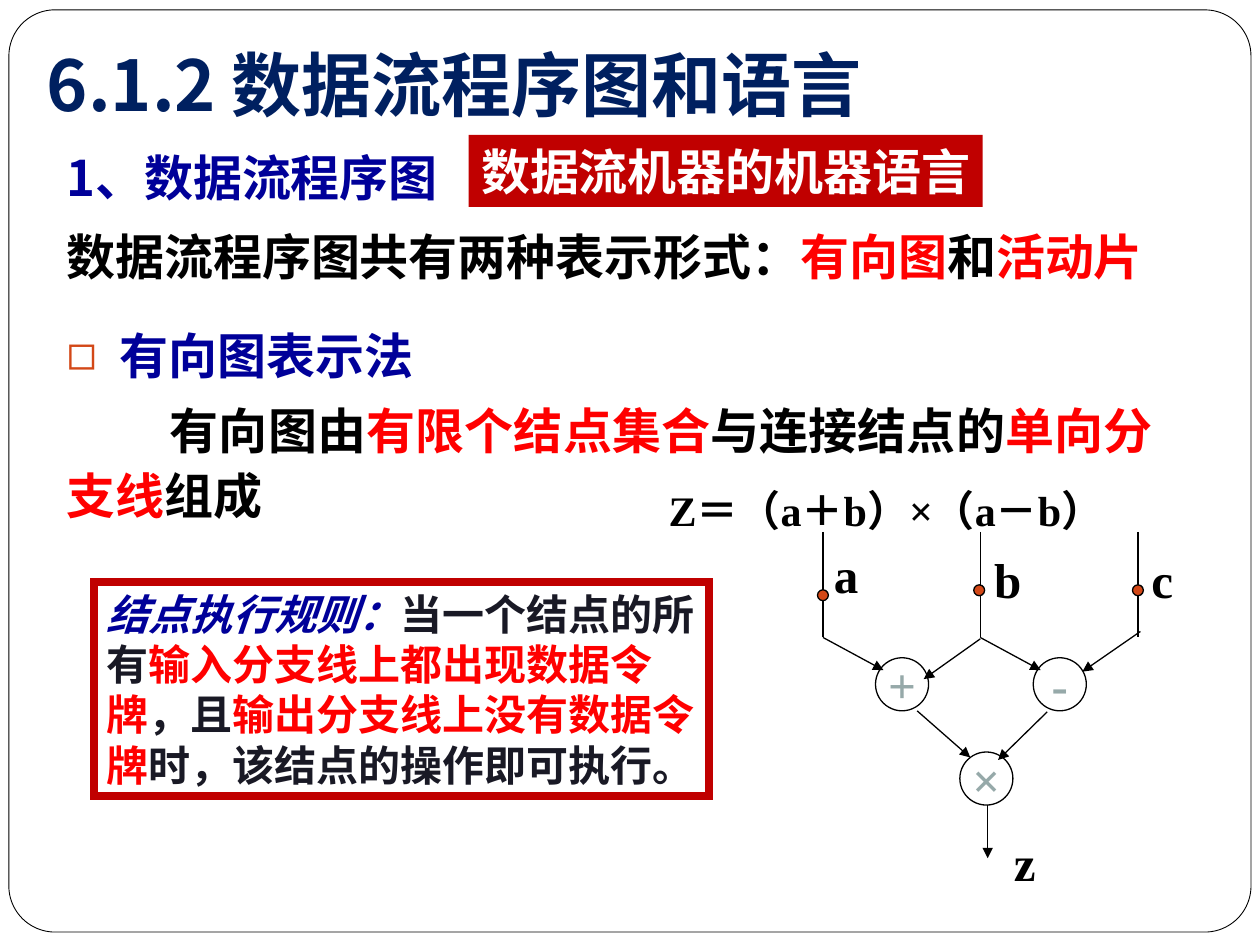
import pptx
import pptx.dml.color
import pptx.enum.shapes
import pptx.enum.text
import pptx.oxml.ns
import pptx.util
from lxml import etree

Cm, Pt = pptx.util.Cm, pptx.util.Pt
SHAPE = pptx.enum.shapes.MSO_SHAPE
ALIGN = pptx.enum.text.PP_ALIGN
ANCHOR = pptx.enum.text.MSO_ANCHOR
SERIF, SANS, CJK = "Times New Roman", "Arial", "Noto Sans CJK SC"
BLACK, RED, BLUE, INK = "000000", "FF0000", "000099", "191925"
ORANGE, CRIMSON, WHITE, GREY, NAVY = "D34817", "C00000", "FFFFFF", "96A9A9", "002060"

TITLE = [("6.1.2 数据流程序图和语言", NAVY)]
HEADING = [("1、数据流程序图", BLUE)]
FORMS = [("数据流程序图共有两种表示形式：", BLACK), ("有向图", RED), ("和", BLACK), ("活动片", RED)]
LABEL = [("数据流机器的机器语言", WHITE)]
METHOD = [("有向图表示法", BLUE)]
DEFINITION = [("有向图由", BLACK), ("有限个结点集合", RED), ("与连接结点的", BLACK),
              ("单向分支线", RED), ("组成", BLACK)]
RULE = [("结点执行规则：", BLUE), ("当一个结点的所有", INK), ("输入分支线上都出现数据令牌", RED),
        ("，且", INK), ("输出分支线上没有数据令牌", RED), ("时，该结点的操作即可执行。", INK)]
EQUATION = [("Z＝（a＋b）×（a－b）", BLACK)]

NODE_SIZE, TOKEN_SIZE = 1.07, 0.22
INPUT_X, INPUT_TOP, INPUT_BOTTOM = (16.59, 19.76, 22.94), 10.72, 12.85
NODES = [("+", 17.65, 13.26), ("-", 20.83, 13.26), ("×", 19.35, 15.16)]
ARROWS = [(16.59, 12.85, 17.81, 13.51), (19.76, 12.85, 20.98, 13.51),
          (19.76, 12.88, 18.62, 13.69), (22.99, 12.73, 21.82, 13.54),
          (21.11, 14.35, 20.12, 15.32), (18.49, 14.33, 19.56, 15.27),
          (19.91, 16.23, 19.91, 17.3)]
NAMES = [("a", 16.56, 10.85), ("b", 19.79, 10.95), ("c", 22.96, 10.95), ("z", 20.19, 16.66)]
TOKENS = [(16.48, 11.89), (19.63, 11.79), (22.83, 11.79)]


def rgb(value):
    """Turn a hex string into a colour."""
    return pptx.dml.color.RGBColor.from_string(value)


def place(box, left, top, width, height):
    """Move and size a box, in centimetres."""
    box.left, box.top, box.width, box.height = Cm(left), Cm(top), Cm(width), Cm(height)


def add_child(parent, tag, **attributes):
    """Append a drawing element."""
    return etree.SubElement(parent, pptx.oxml.ns.qn(tag), attributes)


def write(para, spans, size, font, align=ALIGN.LEFT, spacing=1.0):
    """Fill a paragraph with coloured bold spans."""
    para.alignment, para.line_spacing = align, spacing
    para.space_before = Pt(0)
    para._p.get_or_add_pPr().set("hangingPunct", "0")
    for text, colour in spans:
        span = para.add_run()
        span.text = text
        span.font.size, span.font.name, span.font.bold = Pt(size), font, True
        span.font.color.rgb = rgb(colour)


def set_frame(box, wrap=True, anchor=ANCHOR.TOP):
    """Give a text frame its wrapping and anchor and return its first paragraph."""
    frame = box.text_frame
    frame.auto_size = pptx.enum.text.MSO_AUTO_SIZE.NONE
    frame.word_wrap, frame.vertical_anchor = wrap, anchor
    return frame.paragraphs[0]


def add_text(page, area, spans, size, font, wrap=True, **style):
    """Add a text box."""
    box = page.shapes.add_textbox(*map(Cm, area))
    write(set_frame(box, wrap), spans, size, font, **style)


def add_shape(page, kind, area, fill=None, line=None, weight=0.75):
    """Add a flat preset shape."""
    shape = page.shapes.add_shape(kind, *map(Cm, area))
    shape.shadow.inherit = False
    if fill:
        shape.fill.solid()
        shape.fill.fore_color.rgb = rgb(fill)
    else:
        shape.fill.background()
    if line:
        shape.line.color.rgb, shape.line.width = rgb(line), Pt(weight)
        add_child(shape.line._get_or_add_ln(), "a:miter", lim="800000")
    else:
        shape.line.fill.background()
    return shape


def add_line(page, ends, arrow=False):
    """Add a thin black line, with an arrowhead if asked."""
    line = page.shapes.add_connector(pptx.enum.shapes.MSO_CONNECTOR.STRAIGHT, *map(Cm, ends))
    line.line.color.rgb, line.line.width = rgb(BLACK), Pt(0.75)
    if arrow:
        add_child(line.line._get_or_add_ln(), "a:tailEnd", type="triangle")
    add_child(line._element.spPr, "a:effectLst")


def fill_body(body):
    """Write the bulleted heading and the indented definition."""
    place(body, 1.09, 6.32, 22.4, 4.39)
    method = set_frame(body)
    definition = body.text_frame.add_paragraph()
    for para, spans, margin, indent in ((method, METHOD, 1.07, -1.07),
                                        (definition, DEFINITION, 0, 2.08)):
        write(para, spans, 28, SERIF, ALIGN.JUSTIFY, 1.1)
        properties = para._p.get_or_add_pPr()
        properties.set("marL", str(Cm(margin)))
        properties.set("indent", str(Cm(indent)))
        if para is method:
            add_child(add_child(properties, "a:buClr"), "a:srgbClr", val=ORANGE)
            add_child(properties, "a:buChar", char="◻")
        else:
            add_child(properties, "a:buNone")
    definition.space_before = Pt(6)


def draw_graph(page):
    """Draw the directed graph of the equation."""
    for sign, left, top in NODES:
        node = add_shape(page, SHAPE.OVAL, (left, top, NODE_SIZE, NODE_SIZE), line=BLACK)
        write(set_frame(node, False, ANCHOR.MIDDLE), [(sign, GREY)], 28, SERIF, ALIGN.CENTER)
    for x in INPUT_X:
        add_line(page, (x, INPUT_TOP, x, INPUT_BOTTOM))
    for ends in ARROWS:
        add_line(page, ends, arrow=True)
    for name, left, top in NAMES:
        add_text(page, (left, top, 1, 1.45), [(name, BLACK)], 28, SERIF, wrap=False)
    for left, top in TOKENS:
        add_shape(page, SHAPE.OVAL, (left, top, TOKEN_SIZE, TOKEN_SIZE), ORANGE, BLACK)


def main():
    """Build the slide."""
    deck = pptx.Presentation()
    deck.slide_width, deck.slide_height = Cm(25.4), Cm(19.05)
    page = deck.slides.add_slide(deck.slide_layouts[1])
    border = add_shape(page, SHAPE.ROUNDED_RECTANGLE, (0.18, 0.2, 25.04, 18.59), line=BLACK, weight=0.5)
    border.adjustments[0] = 0.05
    title = page.shapes.title
    place(title, 0.69, 0.71, 18.62, 1.57)
    write(set_frame(title), TITLE, 40, CJK)
    add_text(page, (1.09, 2.62, 23.01, 1.68), HEADING, 28, CJK, align=ALIGN.JUSTIFY, spacing=1.2)
    add_text(page, (1.09, 4.32, 23.6, 1.57), FORMS, 28, SANS, align=ALIGN.JUSTIFY, spacing=1.1)
    label = add_shape(page, SHAPE.RECTANGLE, (9.45, 2.72, 10.36, 1.45), CRIMSON)
    write(set_frame(label, False), LABEL, 28, SANS)
    fill_body(page.placeholders[1])
    draw_graph(page)
    rule = add_shape(page, SHAPE.RECTANGLE, (1.9, 11.73, 12.4, 4.32), line=CRIMSON, weight=4.5)
    para = set_frame(rule)
    write(para, RULE, 24, SERIF)
    para.runs[0].font.italic = True
    add_text(page, (13.23, 9.65, 11.51, 1.27), EQUATION, 24, SERIF, wrap=False)
    deck.save("out.pptx")


if __name__ == "__main__":
    main()
